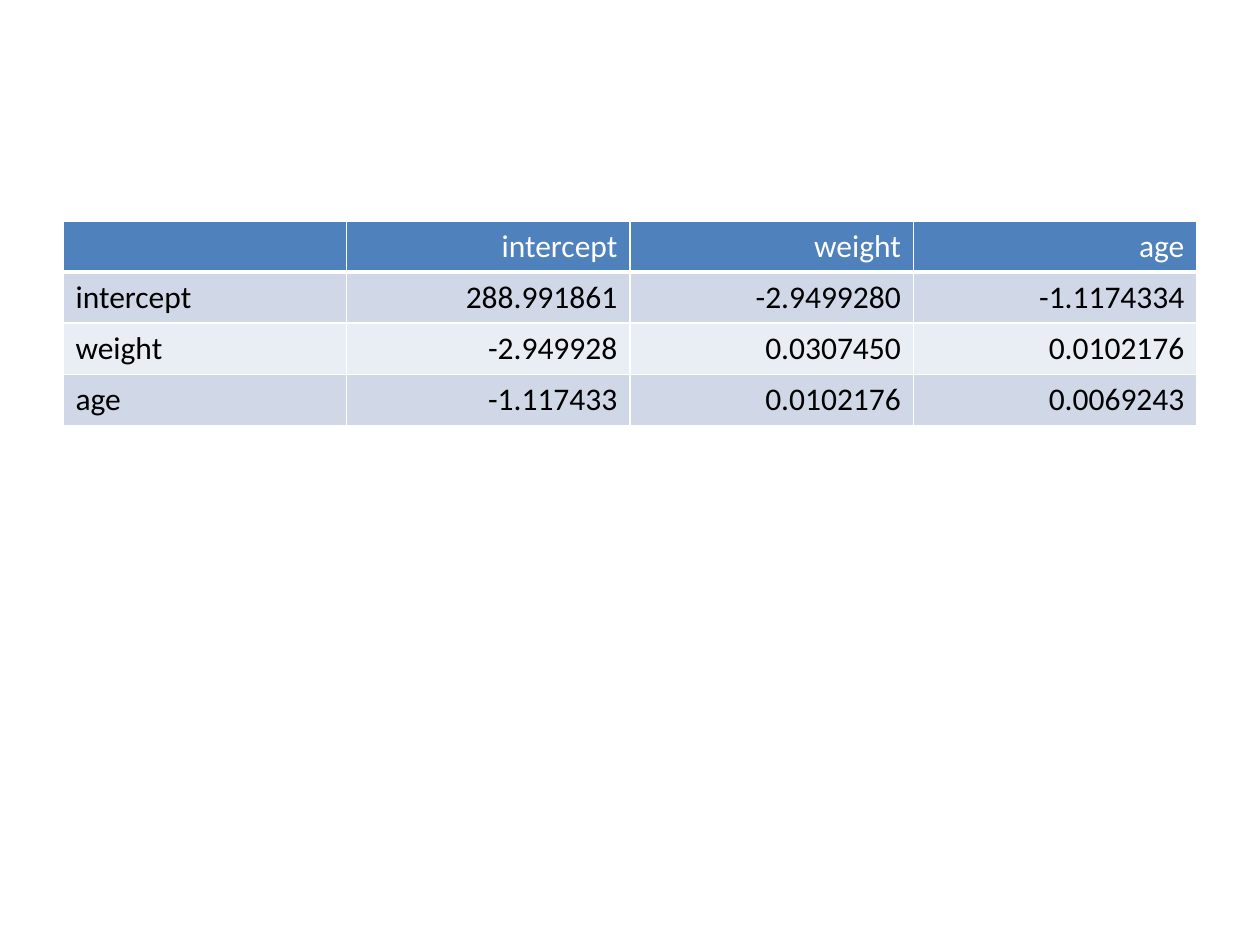
from lxml.etree import SubElement
from pptx import Presentation
from pptx.dml.color import RGBColor
from pptx.enum.text import PP_ALIGN
from pptx.oxml.ns import qn
from pptx.util import Emu, Pt

WHITE = RGBColor(0xFF, 0xFF, 0xFF)
BLACK = RGBColor(0x00, 0x00, 0x00)
BLUE = RGBColor(0x4F, 0x81, 0xBD)
BANDS = RGBColor(0xE9, 0xED, 0xF4), RGBColor(0xD0, 0xD8, 0xE8)

ROWS = [
    ["", "intercept", "weight", "age"],
    ["intercept", "288.991861", "-2.9499280", "-1.1174334"],
    ["weight", "-2.949928", "0.0307450", "0.0102176"],
    ["age", "-1.117433", "0.0102176", "0.0069243"],
]


def px(size):
    return Emu(round(size * 914400 / 126))


class Deck:
    """Holds the style and the current slide."""

    font = "Calibri"
    size = Pt(18)

    def __init__(self, wide, high):
        self.prs = Presentation()
        self.prs.slide_width, self.prs.slide_height = px(wide), px(high)
        self.slide = self.prs.slides.add_slide(self.prs.slide_layouts[6])

    def edge(self, cell, side, width):
        props = cell._tc.get_or_add_tcPr()
        line = SubElement(props, qn("a:ln" + side), w=str(Pt(width)))
        fill = SubElement(line, qn("a:solidFill"))
        SubElement(fill, qn("a:srgbClr"), val=str(WHITE))

    def cell(self, cell, text, fill, ink, align, base):
        for side in "LRT":
            self.edge(cell, side, 1)
        self.edge(cell, "B", base)
        cell.fill.solid()
        cell.fill.fore_color.rgb = fill
        cell.text_frame.text = text
        para = cell.text_frame.paragraphs[0]
        para.alignment = align
        font = para.font
        if para.runs:
            font = para.runs[0].font
        font.name, font.size, font.bold = self.font, self.size, False
        font.color.rgb = ink

    def table(self, left, top, wide, high, rows):
        frame = self.slide.shapes.add_table(
            len(rows), len(rows[0]), px(left), px(top), px(wide), px(high))
        for r, row in enumerate(rows):
            fill, ink, base = (BANDS[r % 2], BLACK, 1) if r else (BLUE, WHITE, 3)
            for c, text in enumerate(row):
                align = PP_ALIGN.RIGHT if c else PP_ALIGN.LEFT
                self.cell(frame.table.cell(r, c), text, fill, ink, align, base)


def main():
    deck = Deck(1260, 945)
    deck.table(63, 221, 1134, 204, ROWS)
    deck.prs.save("out.pptx")


if __name__ == "__main__":
    main()
